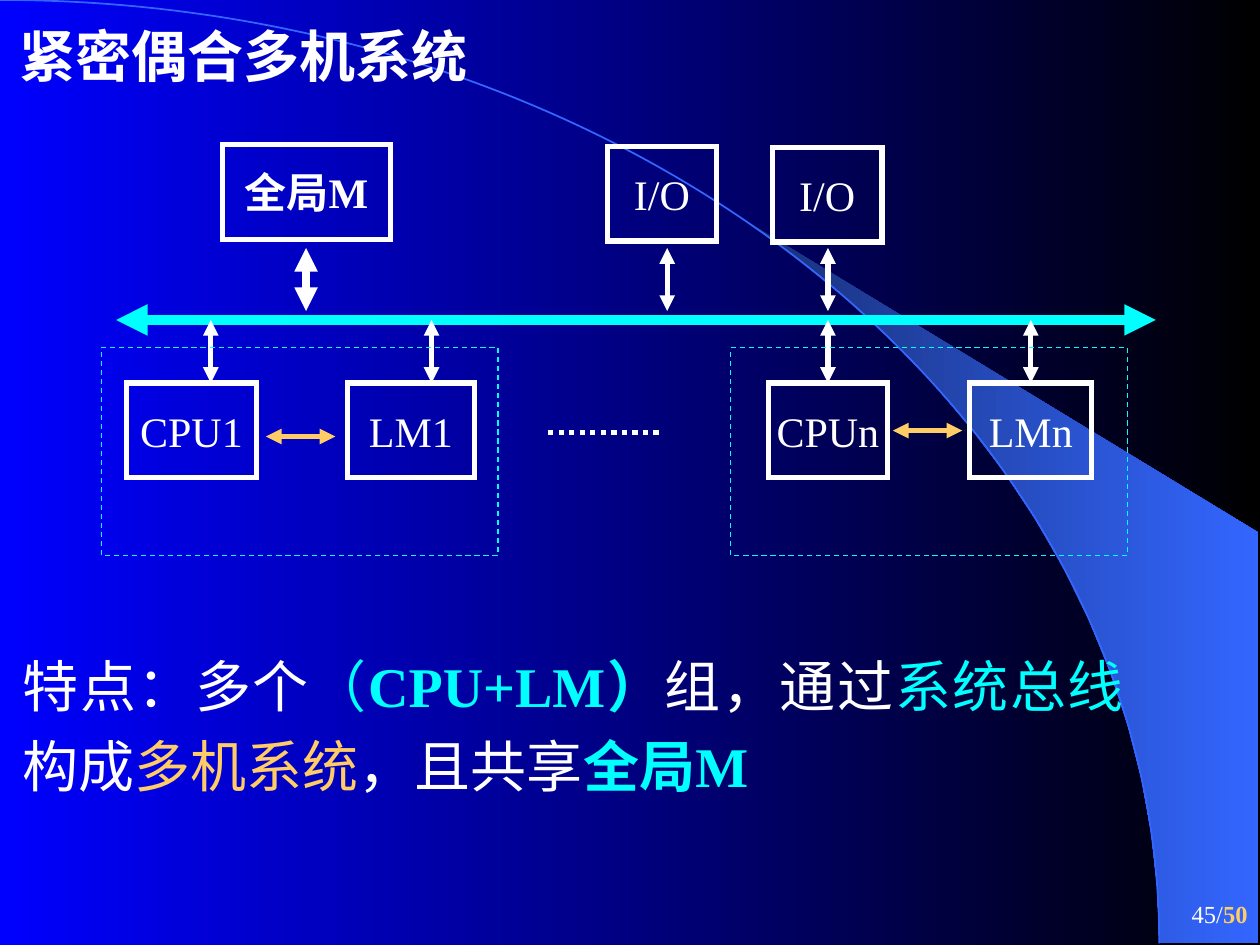
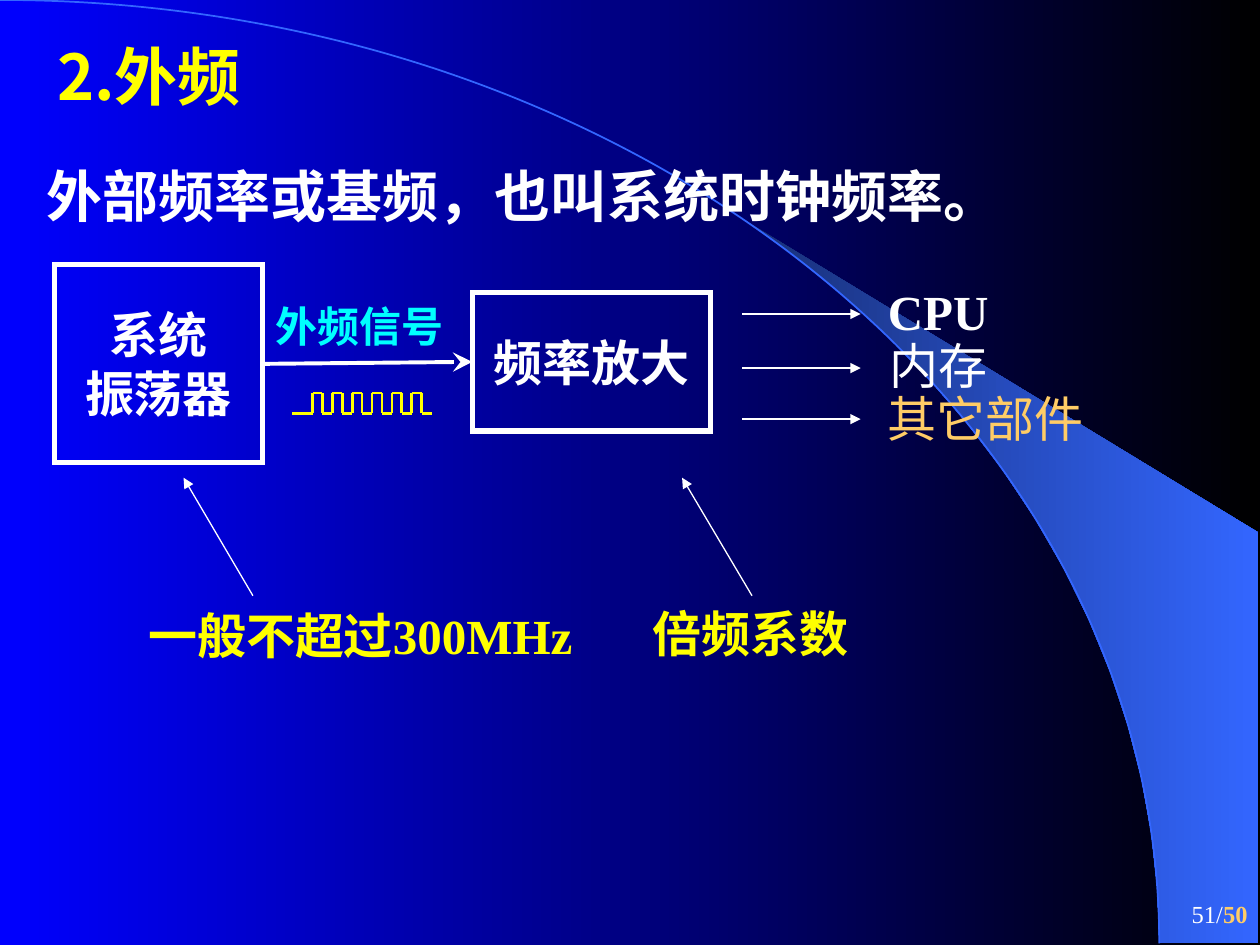
from dataclasses import dataclass
from math import asin, cos, pi, sin

from lxml.etree import SubElement
from pptx import Presentation
from pptx.dml.color import RGBColor as Rgb
from pptx.enum.dml import MSO_LINE
from pptx.enum.lang import MSO_LANGUAGE_ID as Language
from pptx.enum.shapes import MSO_CONNECTOR, MSO_SHAPE
from pptx.enum.text import MSO_ANCHOR as Anchor
from pptx.enum.text import MSO_AUTO_SIZE as AutoSize
from pptx.enum.text import PP_ALIGN as Align
from pptx.oxml.ns import qn
from pptx.util import Cm, Pt


@dataclass(frozen=True)
class Theme:
    """Colours, fonts and type sizes of the deck."""

    white: str = "FFFFFF"
    cyan: str = "00FFFF"
    gold: str = "FFCC66"
    yellow: str = "FFFF00"
    blue: str = "0000FF"
    black: str = "000000"
    navy: str = "182F76"
    azure: str = "3366FF"
    latin: str = "Times New Roman"
    cjk: str = "Noto Sans CJK SC"
    page: int = 14
    label: int = 24
    note: int = 28
    body: int = 32
    heading: int = 36


THEME = Theme()
PAGE_WIDTH, PAGE_HEIGHT = 25.4, 19.05
ARC_WIDTH, ARC_HEIGHT = 23.37, 19.02


def write(paragraph, text, size=THEME.label, color=THEME.white, bold=False, latin=THEME.latin):
    """Add one formatted run to a paragraph."""
    run = paragraph.add_run()
    run.text = text
    font = run.font
    font.size, font.bold, font.name = Pt(size), bold, latin
    font.language_id = Language.SIMPLIFIED_CHINESE
    font.color.rgb = Rgb.from_string(color)
    SubElement(run._r.rPr, qn("a:ea"), typeface=THEME.cjk)


def stroke(line, color, width, dash=None):
    """Give a line its colour, width and dash."""
    line.color.rgb = Rgb.from_string(color)
    line.width = Pt(width)
    if dash:
        line.dash_style = dash


def shade(fill, start, end):
    """Fill from left to right between two colours."""
    fill.gradient()
    fill.gradient_angle = 0
    for stop, color in zip(fill.gradient_stops, (start, end)):
        stop.color.rgb = Rgb.from_string(color)


def outline(slide, points, close):
    """Build a freeform through points in centimetres."""
    corners = [(Cm(x), Cm(y)) for x, y in points]
    builder = slide.shapes.build_freeform(*corners[0])
    builder.add_line_segments(corners[1:], close=close)
    shape = builder.convert_to_shape()
    shape.shadow.inherit = False
    shape.fill.background()
    return shape


def bend(shape, controls):
    """Turn the only segment of a freeform into a curve with two control points."""
    segment = shape.element.find(f".//{qn('a:lnTo')}")
    segment.tag = qn("a:cubicBezTo")
    for index, (x, y) in enumerate(controls):
        point = SubElement(segment, qn("a:pt"), x=str(Cm(x)), y=str(Cm(y)))
        segment.insert(index, point)


def frame(slide, box, lines=(), color=THEME.white, width=3, dash=None, **style):
    """Draw an unfilled rectangle with centred lines of text."""
    shape = slide.shapes.add_shape(MSO_SHAPE.RECTANGLE, *map(Cm, box))
    shape.shadow.inherit = False
    shape.fill.background()
    stroke(shape.line, color, width, dash)
    SubElement(shape.element.spPr.find(qn("a:ln")), qn("a:miter"), lim="800000")
    text_frame = shape.text_frame
    text_frame.word_wrap = False
    text_frame.vertical_anchor = Anchor.MIDDLE
    for index, text in enumerate(lines):
        paragraph = text_frame.add_paragraph() if index else text_frame.paragraphs[0]
        paragraph.alignment = Align.CENTER
        write(paragraph, text, **style)
    return shape


def label(slide, box, text, **style):
    """Add a single-line text box."""
    text_frame = slide.shapes.add_textbox(*map(Cm, box)).text_frame
    text_frame.word_wrap = False
    write(text_frame.paragraphs[0], text, **style)


def link(slide, start, end, color=THEME.white, width=3, dash=None,
         head=None, tail=None, tip="med"):
    """Draw a straight line with optional arrowheads."""
    connector = slide.shapes.add_connector(
        MSO_CONNECTOR.STRAIGHT, *map(Cm, (*start, *end)))
    stroke(connector.line, color, width, dash)
    properties = connector.element.spPr
    for tag, arrow in (("a:headEnd", head), ("a:tailEnd", tail)):
        if arrow:
            SubElement(properties.find(qn("a:ln")), qn(tag), type=arrow, w=tip, len=tip)
    SubElement(properties, qn("a:effectLst"))
    return connector


def exchange(slide, start, end, **style):
    """Draw an arrow that points both ways."""
    return link(slide, start, end, head="triangle", tail="triangle", **style)


def fill_placeholder(placeholder, box, runs, spacing=1.0, align=Align.LEFT):
    """Place a title or body placeholder and write its formatted runs."""
    placeholder.left, placeholder.top, placeholder.width, placeholder.height = map(Cm, box)
    text_frame = placeholder.text_frame
    text_frame.word_wrap = True
    text_frame.auto_size = AutoSize.NONE
    text_frame.vertical_anchor = Anchor.TOP
    paragraph = text_frame.paragraphs[0]
    properties = paragraph._p.get_or_add_pPr()
    properties.set("marL", "0")
    properties.set("indent", "0")
    SubElement(properties, qn("a:buNone"))
    paragraph.alignment = align
    paragraph.line_spacing = spacing
    paragraph.space_before = Pt(0)
    for text, style in runs:
        write(paragraph, text, **style)


def ribbon_points(start, steps=15):
    """Return the ribbon's edge along the arc, closed by its two right corners."""
    angles = [start + (pi / 2 - start) * step / steps for step in range(steps + 1)]
    edge = [(ARC_WIDTH * sin(a), ARC_HEIGHT * (1 - cos(a))) for a in angles]
    return edge + [(25.37, ARC_HEIGHT), (25.37, 10.74)]


def decorate_master(master, slide):
    """Give the master its background, ribbon and arc."""
    shade(master.background.fill, THEME.blue, THEME.black)
    ribbon = outline(slide, ribbon_points(asin(0.64)), close=True)
    shade(ribbon.fill, THEME.navy, THEME.azure)
    ribbon.line.fill.background()
    arc = outline(slide, [(0, 0), (ARC_WIDTH, ARC_HEIGHT)], close=False)
    bend(arc, [(12.9, 0), (ARC_WIDTH, 8.51)])
    stroke(arc.line, THEME.azure, 1)
    for index, shape in enumerate((ribbon, arc)):
        shape.element.nvSpPr.cNvPr.set("id", str(101 + index))
        master.shapes.element.insert(2 + index, shape.element)


def page_number(slide, number):
    """Write the page number and the page total."""
    box = slide.shapes.add_textbox(*map(Cm, (20.12, 17.78, 5.28, 1.27)))
    box.text_frame.word_wrap = True
    box.text_frame.vertical_anchor = Anchor.MIDDLE
    paragraph = box.text_frame.paragraphs[0]
    paragraph.alignment = Align.RIGHT
    write(paragraph, f"{number}/", size=THEME.page)
    write(paragraph, "50", size=THEME.page, color=THEME.gold, bold=True)


def coupled_system(slide):
    """Build the slide on tightly coupled multiprocessors."""
    page_number(slide, 45)
    bus_y, unit_y, unit_height = 6.45, 7.72, 1.91
    units = {}
    for name, left, width in (("CPU1", 2.55, 2.62), ("LM1", 7, 2.57),
                              ("CPUn", 15.49, 2.4), ("LMn", 19.55, 2.46)):
        units[name] = frame(slide, (left, unit_y, width, unit_height), [name])
    frame(slide, (4.49, 2.92, 3.38, unit_height), ["全局M"], bold=True)
    for left, top in ((12.24, 2.95), (15.57, 2.97)):
        frame(slide, (left, top, 2.21, unit_height), ["I/O"])

    exchange(slide, (2.34, bus_y), (23.3, bus_y), color=THEME.cyan, width=6)
    for x, width in ((6.17, 4.5), (13.45, 3), (16.69, 3)):
        exchange(slide, (x, 5), (x, 6.27), width=width)
    for x, unit in ((4.25, None), (8.7, None), (16.69, "CPUn"), (20.78, "LMn")):
        bus_link = exchange(slide, (x, bus_y), (x, unit_y))
        if unit:
            bus_link.end_connect(units[unit], 0)
    for x, y in ((5.36, 8.8), (18, 8.68)):
        exchange(slide, (x, y), (x + 1.4, y), color=THEME.gold)
    link(slide, (11.05, 8.72), (13.36, 8.72), dash=MSO_LINE.ROUND_DOT)
    for left in (2.04, 14.73):
        frame(slide, (left, 7.01, 8, 4.19), color=THEME.cyan, width=0.75, dash=MSO_LINE.DASH)

    title, features = slide.placeholders
    fill_placeholder(title, (0.14, 0.3, 10.5, 1.63),
                     [("紧密偶合多机系统", dict(size=THEME.body, bold=True))])
    parts = (("特点：多个", THEME.white, False), ("（", THEME.cyan, False),
             ("CPU+LM）", THEME.cyan, True), ("组，通过", THEME.white, False),
             ("系统总线", THEME.cyan, False), ("构成", THEME.white, False),
             ("多机系统", THEME.gold, False), ("，且共享", THEME.white, False),
             ("全局M", THEME.cyan, True))
    fill_placeholder(features, (0.2, 12.73, 22.71, 3.51),
                     [(text, dict(size=THEME.body, color=color, bold=bold))
                      for text, color, bold in parts],
                     spacing=1.2, align=Align.JUSTIFY)


def clock_wave(slide):
    """Draw the square clock signal."""
    low, high, start, step, pulses = 8.33, 7.92, 6.3, 0.2, 6
    points = [(5.89, low)]
    for pulse in range(pulses):
        rise = start + 2 * step * pulse
        fall = rise + step
        points += [(rise, low), (rise, high), (fall, high), (fall, low)]
    points.append((start + 2 * step * pulses, low))
    for segment in zip(points, points[1:]):
        link(slide, *sorted(segment), color=THEME.yellow, width=1.5)


def external_clock(slide):
    """Build the slide on the external frequency."""
    page_number(slide, 51)
    title, definition = slide.placeholders
    fill_placeholder(title, (0.9, 0.93, 9.32, 1.47),
                     [("2.外频", dict(size=THEME.heading, color=THEME.yellow,
                                    bold=True, latin=THEME.cjk))], spacing=0.8)
    fill_placeholder(definition, (0.69, 3.12, 20.8, 1.63),
                     [("外部频率或基频，也叫系统时钟频率。", dict(size=THEME.body, bold=True))])

    oscillator = frame(slide, (1.1, 5.34, 4.19, 3.99), ["系统", "振荡器"],
                       size=THEME.note, bold=True)
    amplifier = frame(slide, (9.52, 5.9, 4.8, 2.79), ["频率放大"],
                      size=THEME.note, bold=True)
    signal = link(slide, (5.29, 7.33), (9.52, 7.3), width=2.25, tail="stealth", tip="lg")
    signal.begin_connect(oscillator, 3)
    signal.end_connect(amplifier, 1)
    label(slide, (5.31, 5.94, 3.89, 1.27), "外频信号", color=THEME.cyan, bold=True)
    clock_wave(slide)

    targets = (("CPU", 6.33, 17.65, THEME.white, True),
               ("内存", 7.42, 17.68, THEME.white, False),
               ("其它部件", 8.45, 17.65, THEME.gold, False))
    for index, (target, arrow_y, left, color, bold) in enumerate(targets):
        link(slide, (14.96, arrow_y), (17.35, arrow_y), width=0.75, tail="triangle")
        label(slide, (left, 5.56 + 1.07 * index, 4.45, 1.45), target,
              size=THEME.note, color=color, bold=bold)

    for tail_x, tip_x, box, remark in (
            (5.1, 3.7, (2.74, 12.09, 9.3, 1.45), "一般不超过300MHz"),
            (15.16, 13.75, (12.91, 12.04, 4.45, 1.45), "倍频系数")):
        link(slide, (tail_x, 12.01), (tip_x, 9.63), width=0.75, tail="triangle")
        label(slide, box, remark, size=THEME.note, color=THEME.yellow, bold=True)


def main():
    """Build and save the deck."""
    deck = Presentation()
    deck.slide_width, deck.slide_height = Cm(PAGE_WIDTH), Cm(PAGE_HEIGHT)
    layout = deck.slide_layouts[1]
    slides = [deck.slides.add_slide(layout) for _ in range(2)]
    decorate_master(deck.slide_master, slides[0])
    coupled_system(slides[0])
    external_clock(slides[1])
    deck.save("out.pptx")


if __name__ == "__main__":
    main()
